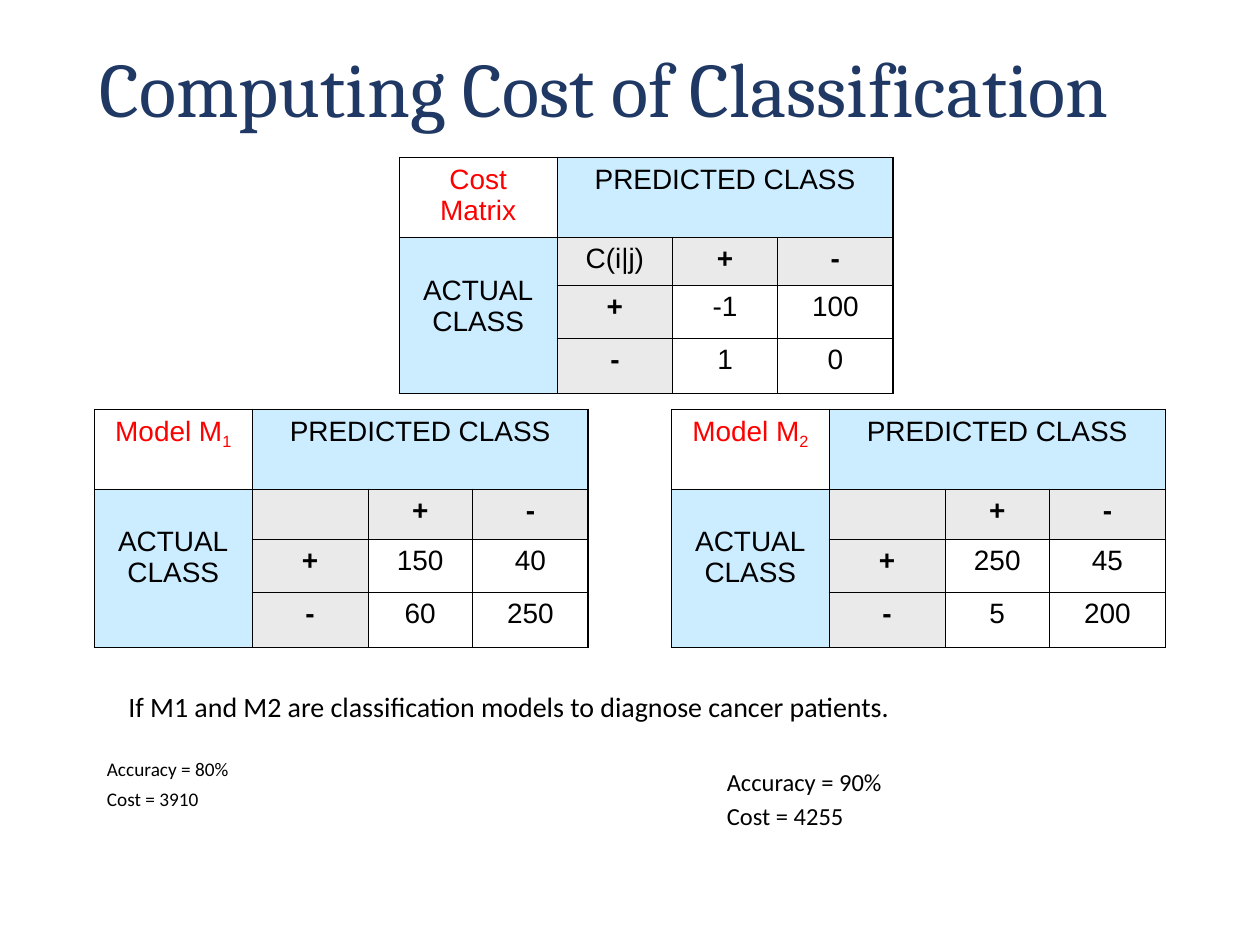
from lxml import etree
from pptx import Presentation
from pptx.dml.color import RGBColor
from pptx.enum.text import MSO_ANCHOR, PP_ALIGN
from pptx.oxml.ns import qn
from pptx.util import Inches, Pt

CENTER = PP_ALIGN.CENTER
MIDDLE, TOP = MSO_ANCHOR.MIDDLE, MSO_ANCHOR.TOP

COLORS = {
    "title": "203864",
    "text": "000000",
    "corner": "FF0000",
    "axis": "CCECFF",
    "label": "EAEAEA",
    "border": "000000",
}

TITLE = "Computing Cost of Classification"
PREDICTED, ACTUAL = "PREDICTED CLASS", "ACTUAL\vCLASS"
CLASSES = ["+", "-"]
MATRICES = [
    {"at": (3.17, 1.25), "corner": "Cost Matrix", "subscript": "", "key": "C(i|j)",
     "values": [["-1", "100"], ["1", "0"]]},
    {"at": (0.75, 3.25), "corner": "Model M", "subscript": "1", "key": "",
     "values": [["150", "40"], ["60", "250"]]},
    {"at": (5.33, 3.25), "corner": "Model M", "subscript": "2", "key": "",
     "values": [["250", "45"], ["5", "200"]]},
]
COLUMN_WIDTHS = [1.25, 0.92, 0.83, 0.92]
ROW_HEIGHTS = [0.63, 0.38, 0.42, 0.44]
THIN, THICK = 0.45, 1.08

NOTES = [
    ((0.75, 6, 3.33, 0.58), 11, 0.8, ["Accuracy = 80%", "Cost = 3910"]),
    ((5.67, 6.08, 3.33, 0.67), 14, 0.8, ["Accuracy = 90%", "Cost = 4255"]),
    ((0.92, 5.42, 8.08, 0.37), 16, 1.0,
     ["If M1 and M2 are classification models to diagnose cancer patients."]),
]


def style_font(font, name, size, color, bold=False):
    font.name, font.size, font.bold = name, Pt(size), bold
    font.color.rgb = RGBColor.from_string(COLORS[color])


def add_text(slide, box, lines, name, size, color, spacing, anchor=TOP):
    frame = slide.shapes.add_textbox(*map(Inches, box)).text_frame
    frame.word_wrap = True
    frame.vertical_anchor = anchor
    frame.text = "\n".join(lines)
    for index, paragraph in enumerate(frame.paragraphs):
        paragraph.line_spacing = spacing
        if len(lines) > 1:
            paragraph.space_before = Pt(2.5 if index else 0)
            paragraph.space_after = Pt(4)
        for run in paragraph.runs:
            style_font(run.font, name, size, color)


def set_borders(cell, row, column):
    last_row = row + cell.span_height == len(ROW_HEIGHTS)
    last_column = column + cell.span_width == len(COLUMN_WIDTHS)
    outer = {"a:lnL": column == 0, "a:lnR": last_column, "a:lnT": row == 0, "a:lnB": last_row}
    properties = cell._tc.get_or_add_tcPr()
    for position, (tag, is_outer) in enumerate(outer.items()):
        line = etree.Element(qn(tag), w=str(Pt(THICK if is_outer else THIN)))
        fill = etree.SubElement(line, qn("a:solidFill"))
        etree.SubElement(fill, qn("a:srgbClr"), val=COLORS["border"])
        properties.insert(position, line)


def fill_cell(cell, text, color, fill, bold):
    if fill:
        cell.fill.solid()
        cell.fill.fore_color.rgb = RGBColor.from_string(COLORS[fill])
    else:
        cell.fill.background()
    if text:
        paragraph = cell.text_frame.paragraphs[0]
        paragraph.text = text
        paragraph.alignment = CENTER
        paragraph.space_after = Pt(4)
        for run in paragraph.runs:
            style_font(run.font, "Arial", 16, color, bold)


def add_matrix(slide, matrix):
    left, top = matrix["at"]
    size = sum(COLUMN_WIDTHS), sum(ROW_HEIGHTS)
    table = slide.shapes.add_table(
        len(ROW_HEIGHTS), len(COLUMN_WIDTHS), *map(Inches, (left, top, *size))).table
    table.first_row = table.horz_banding = False
    for column, width in zip(table.columns, COLUMN_WIDTHS):
        column.width = Inches(width)
    for row, height in zip(table.rows, ROW_HEIGHTS):
        row.height = Inches(height)
    table.cell(0, 1).merge(table.cell(0, 3))
    table.cell(1, 0).merge(table.cell(3, 0))

    grid = [
        [matrix["corner"], PREDICTED, "", ""],
        [ACTUAL, matrix["key"], *CLASSES],
        *[["", label, *values] for label, values in zip(CLASSES, matrix["values"])],
    ]
    for r, texts in enumerate(grid):
        for c, text in enumerate(texts):
            corner = r == c == 0
            axis = not corner and 0 in (r, c)
            label = not axis and 1 in (r, c)
            fill = "axis" if axis else "label" if label else None
            cell = table.cell(r, c)
            fill_cell(cell, text, "corner" if corner else "text", fill,
                      label and text in CLASSES)
            set_borders(cell, r, c)

    table.cell(1, 0).margin_top = Inches(0.3)
    if matrix["subscript"]:
        subscript = table.cell(0, 0).text_frame.paragraphs[0].add_run()
        subscript.text = matrix["subscript"]
        style_font(subscript.font, "Arial", 16, "corner")
        subscript._r.get_or_add_rPr().set("baseline", "-25000")


def main():
    deck = Presentation()
    deck.slide_width, deck.slide_height = Inches(10), Inches(7.5)
    slide = deck.slides.add_slide(deck.slide_layouts[6])
    add_text(slide, (0.69, 0.4, 8.63, 0.67), [TITLE], "Cambria", 44, "title", 0.9, MIDDLE)
    for matrix in MATRICES:
        add_matrix(slide, matrix)
    for box, size, spacing, lines in NOTES:
        add_text(slide, box, lines, "Calibri", size, "text", spacing)
    deck.save("out.pptx")


if __name__ == "__main__":
    main()
